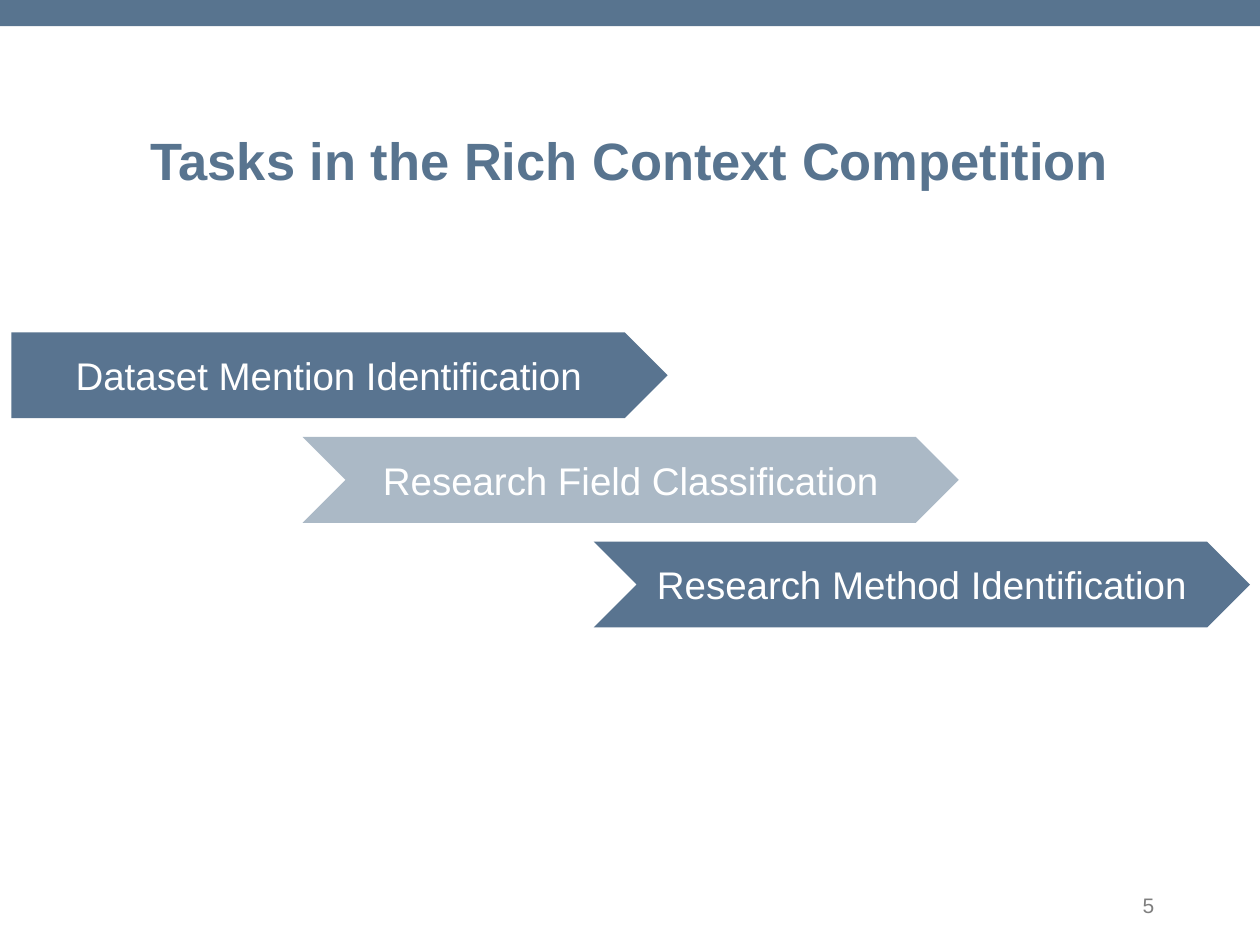
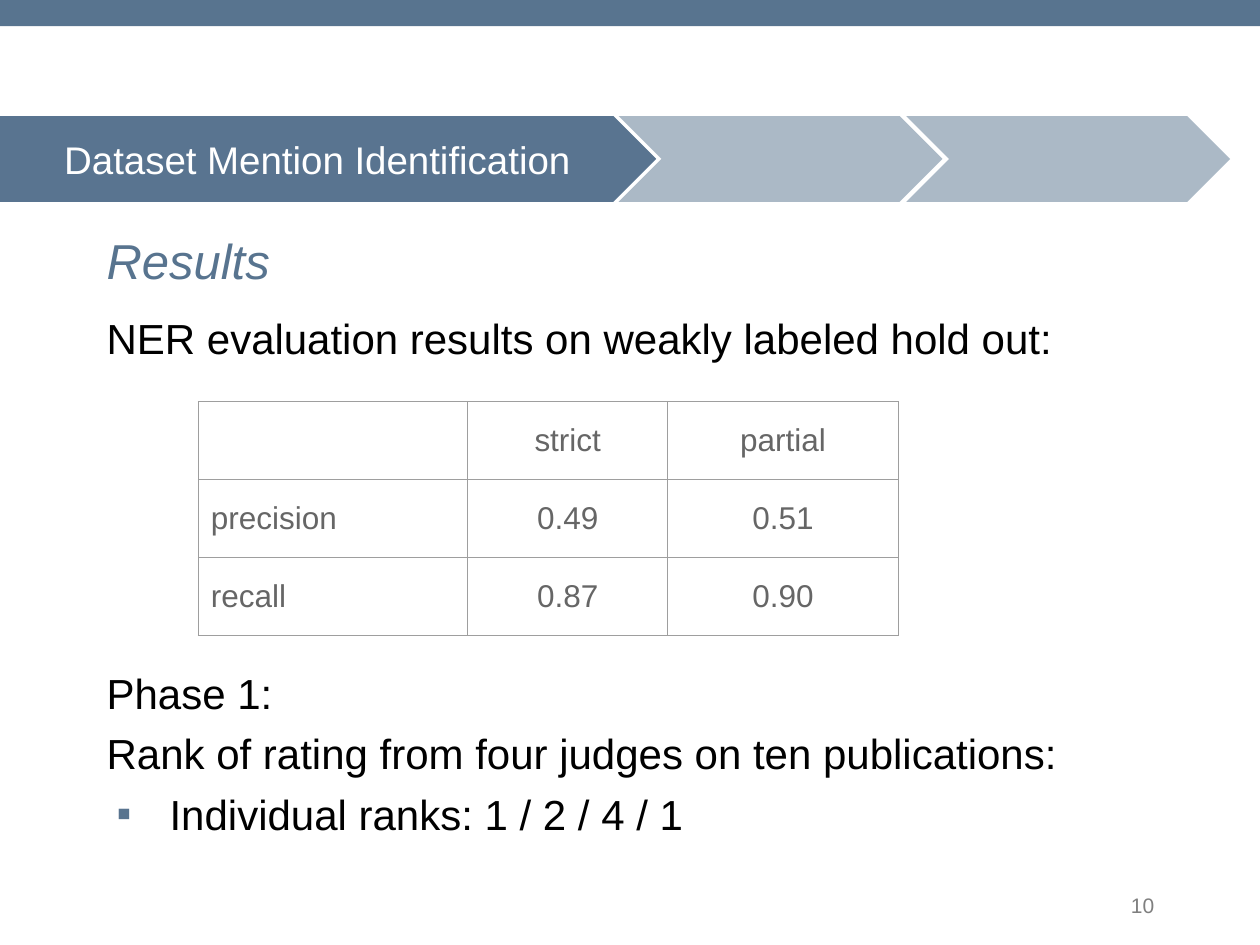
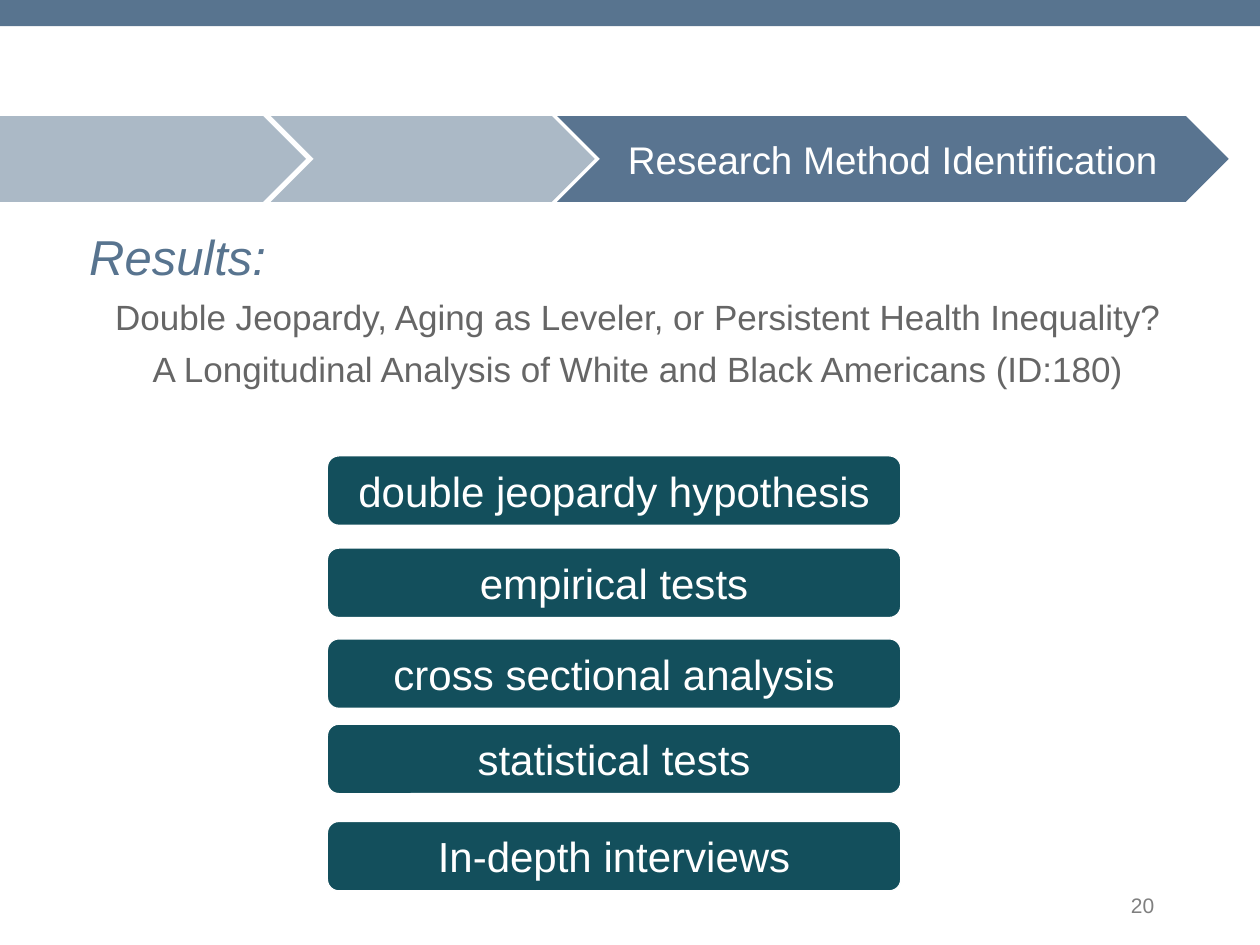
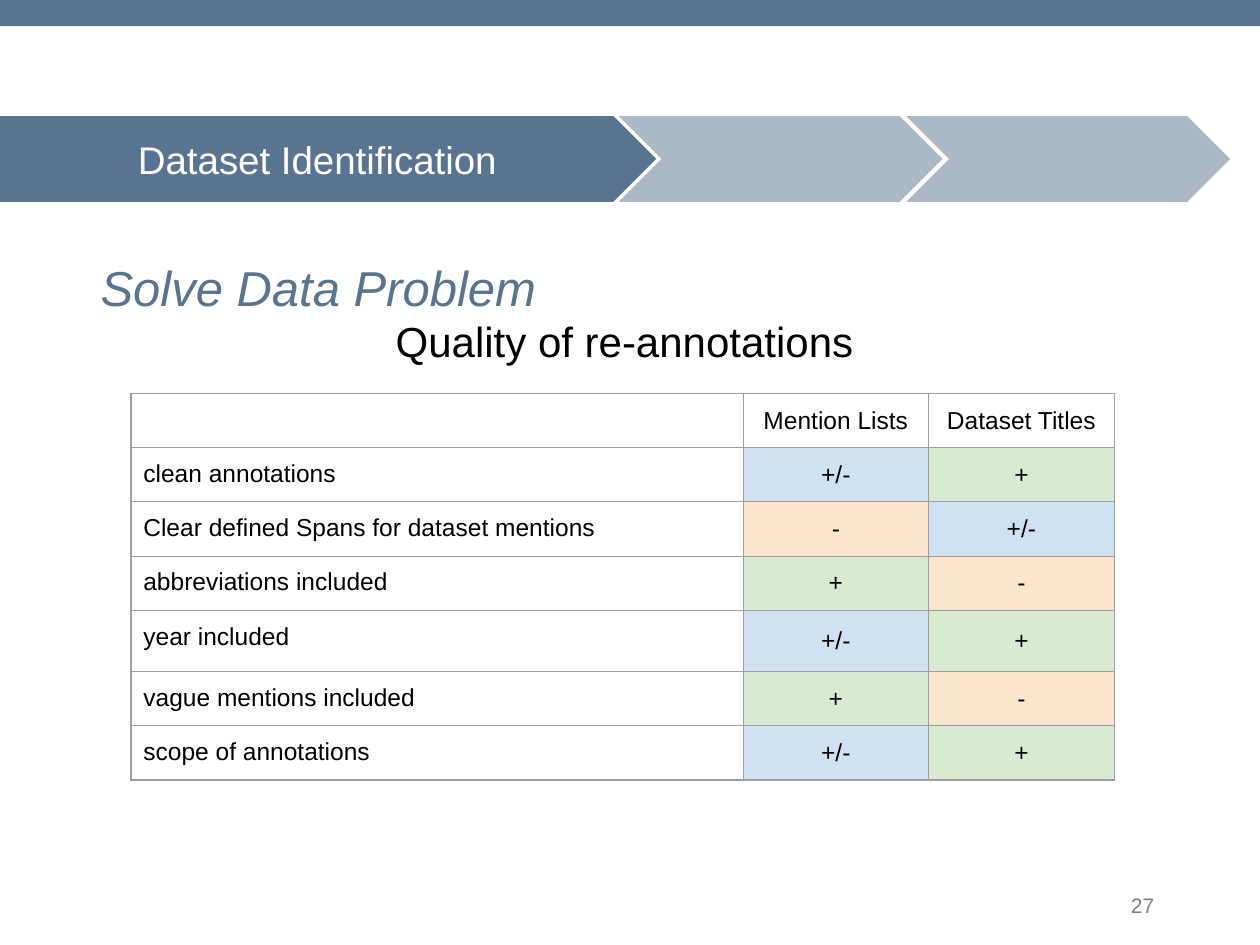
from lxml.etree import SubElement
from pptx import Presentation
from pptx.dml.color import RGBColor as Rgb
from pptx.enum.shapes import MSO_SHAPE as Preset
from pptx.enum.text import MSO_ANCHOR as Anchor, PP_ALIGN as Align
from pptx.oxml import parse_xml
from pptx.oxml.ns import nsdecls, qn
from pptx.util import Cm, Pt

COLORS = {
    "blue": "58748F",
    "arrow": "597490",
    "teal": "134F5C",
    "white": "FFFFFF",
    "black": "000000",
    "grey": "666666",
    "number": "7F7F7F",
    "border": "9E9E9E",
    "+/-": "CFE2F3",
    "+": "D9EAD3",
    "-": "FCE5CD",
}
FONT = "Arial"
MARGIN = Cm(0.25)
ARROW_HEIGHT = 1.73


def add_box(slide, preset, left, top, width, height, fill=None, opacity=None):
    position = Cm(left), Cm(top), Cm(width), Cm(height)
    if preset is None:
        shape = slide.shapes.add_textbox(*position)
    else:
        shape = slide.shapes.add_shape(preset, *position)
        shape.shadow.inherit = False
        shape.line.fill.background()
        shape.fill.solid()
        shape.fill.fore_color.rgb = Rgb.from_string(COLORS[fill])
        shape.text_frame.margin_top = shape.text_frame.margin_bottom = MARGIN
        if opacity:
            color = shape.fill._xPr.find(".//" + qn("a:srgbClr"))
            SubElement(color, qn("a:alpha"), val=str(opacity * 1000))
    shape.text_frame.word_wrap = True
    return shape


def add_text(frame, text, size, color, align=Align.LEFT, before=0):
    paragraph = frame.add_paragraph() if frame.text else frame.paragraphs[0]
    paragraph.text = text
    paragraph.alignment = align
    paragraph.space_before = Pt(before)
    paragraph.font.name = FONT
    paragraph.font.size = Pt(size)
    paragraph.font.color.rgb = Rgb.from_string(COLORS[color])
    return paragraph


presentation = Presentation()
presentation.slide_width = Cm(25.4)
presentation.slide_height = Cm(19.05)

staircase = [
    (0.23 + 5.87 * step, 6.7 + 2.11 * step, 13.23, text)
    for step, text in enumerate([
        "Dataset Mention Identification",
        "Research Field Classification",
        "Research Method Identification",
    ])
]
first_task, last_task = [
    [(left, 2.34, width, text) for left, width, text in row]
    for row in (
        [(0, 13.23, "Dataset Mention Identification"), (12.47, 6.53, ""), (18.27, 6.53, "")],
        [(0, 6.17, ""), (5.46, 6.53, ""), (11.23, 13.54, "Research Method Identification")],
    )
]
solved_task = [(0, 2.34, 13.23, "Dataset Identification")] + first_task[1:]

slides = []
for number, arrows, pale in (
    (5, staircase, [1]),
    (10, first_task, [1, 2]),
    (20, last_task, [0, 1]),
    (27, solved_task, [1, 2]),
):
    slide = presentation.slides.add_slide(presentation.slide_layouts[6])
    slides.append(slide)
    add_box(slide, Preset.RECTANGLE, 0, 0, 25.4, 0.53, "blue")
    number_box = add_box(slide, None, 18.11, 17.73, 5.41, 1.02)
    number_box.text_frame.vertical_anchor = Anchor.MIDDLE
    add_text(number_box.text_frame, str(number), 12, "number", Align.RIGHT)
    for index, (left, top, width, text) in enumerate(arrows):
        preset = Preset.CHEVRON if index else Preset.PENTAGON
        fill, opacity = ("blue", 50) if index in pale else ("arrow", None)
        arrow = add_box(slide, preset, left, top, width, ARROW_HEIGHT, fill, opacity)
        if text:
            add_text(arrow.text_frame, text, 22, "white", Align.CENTER)

tasks_slide, ner_slide, methods_slide, annotation_slide = slides

title = add_box(tasks_slide, None, 1.9, 2.51, 21.59, 1.42)
title.text_frame.vertical_anchor = Anchor.MIDDLE
add_text(title.text_frame, "Tasks in the Rich Context Competition", 30, "blue",
         Align.CENTER).font.bold = True

frames = []
for slide, heading, left, top, width, height in (
    (ner_slide, "Results", 1.9, 4.52, 21.59, 1.73),
    (methods_slide, "Results:", 1.55, 4.45, 22.63, 12.57),
    (annotation_slide, "Solve Data Problem", 1.78, 4.34, 21.62, 1.8),
):
    frame = add_box(slide, None, left, top, width, height).text_frame
    add_text(frame, heading, 28, "blue", before=5.6).font.italic = True
    frames.append(frame)

for top, height, lines in (
    (6.05, 2.06, ["NER evaluation results on weakly labeled hold out:"]),
    (13.21, 2.39, ["Phase 1:", "Rank of rating from four judges on ten publications:",
                   "Individual ranks: 1 / 2 / 4 / 1"]),
):
    frame = add_box(ner_slide, None, 1.9, top, 20.35, height).text_frame
    frame.margin_top = frame.margin_bottom = MARGIN
    for line in lines:
        paragraph = add_text(frame, line, 24, "black", before=5.6)
properties = paragraph._p.get_or_add_pPr()
properties.set("marL", str(Cm(1.27)))
properties.set("indent", str(Cm(-1.07)))
for bullet in (
    f'<a:buClr {nsdecls("a")}><a:srgbClr val="{COLORS["blue"]}"/></a:buClr>',
    f'<a:buFont {nsdecls("a")} typeface="{FONT}"/>',
    f'<a:buChar {nsdecls("a")} char="▪"/>',
):
    properties[-1].addprevious(parse_xml(bullet))

for line in (
    "Double Jeopardy, Aging as Leveler, or Persistent Health Inequality?",
    "A Longitudinal Analysis of White and Black Americans (ID:180)",
):
    add_text(frames[1], line, 20, "grey", Align.CENTER, 5.6)
for top, method in (
    (9.19, "double jeopardy hypothesis"),
    (11.05, "empirical tests"),
    (12.88, "cross sectional analysis"),
    (14.6, "statistical tests"),
    (16.56, "In-depth interviews"),
):
    pill = add_box(methods_slide, Preset.ROUNDED_RECTANGLE, 6.6, top, 11.56, 1.4, "teal")
    pill.line.color.rgb = Rgb.from_string(COLORS["white"])
    pill.line.width = Pt(0.75)
    add_text(pill.text_frame, method, 24, "white", Align.CENTER)

frames[2].margin_top = frames[2].margin_bottom = MARGIN
frames[2].paragraphs[0].line_spacing = 1.5
add_text(frames[2], "Quality of re-annotations", 24, "black", Align.CENTER)

scores = [
    ["", "strict", "partial"],
    ["precision", "0.49", "0.51"],
    ["recall", "0.87", "0.90"],
]
quality = [
    ["", "Mention Lists", "Dataset Titles"],
    ["clean annotations", "+/-", "+"],
    ["Clear defined Spans for dataset mentions", "-", "+/-"],
    ["abbreviations included", "+", "-"],
    ["year included", "+/-", "+"],
    ["vague mentions included", "+", "-"],
    ["scope of annotations", "+/-", "+"],
]
for slide, rows, left, top, widths, heights, size, color, label_anchor in (
    (ner_slide, scores, 4, 8.1, [5.43, 4.03, 4.65], [1.57] * 3, 18, "grey", Anchor.MIDDLE),
    (annotation_slide, quality, 2.64, 7.93, [12.34, 3.74, 3.74],
     [1.07] * 4 + [1.23] + [1.07] * 2, 14, "black", Anchor.TOP),
):
    table = slide.shapes.add_table(
        len(rows), len(widths), Cm(left), Cm(top), Cm(sum(widths)), Cm(sum(heights))
    ).table
    table.first_row = table.horz_banding = False
    for column, width in zip(table.columns, widths):
        column.width = Cm(width)
    for row, height, texts in zip(table.rows, heights, rows):
        row.height = Cm(height)
        for index, (cell, text) in enumerate(zip(row.cells, texts)):
            cell.margin_left = cell.margin_right = MARGIN
            cell.margin_top = cell.margin_bottom = MARGIN
            cell.vertical_anchor = Anchor.MIDDLE if index else label_anchor
            add_text(cell.text_frame, text, size, color, Align.CENTER if index else Align.LEFT)
            for side in ("lnL", "lnR", "lnT", "lnB"):
                line = SubElement(cell._tc.get_or_add_tcPr(), qn("a:" + side), w=str(Pt(0.75)))
                SubElement(SubElement(line, qn("a:solidFill")), qn("a:srgbClr"),
                           val=COLORS["border"])
            if text in COLORS:
                cell.fill.solid()
                cell.fill.fore_color.rgb = Rgb.from_string(COLORS[text])
            else:
                cell.fill.background()

presentation.save("out.pptx")
